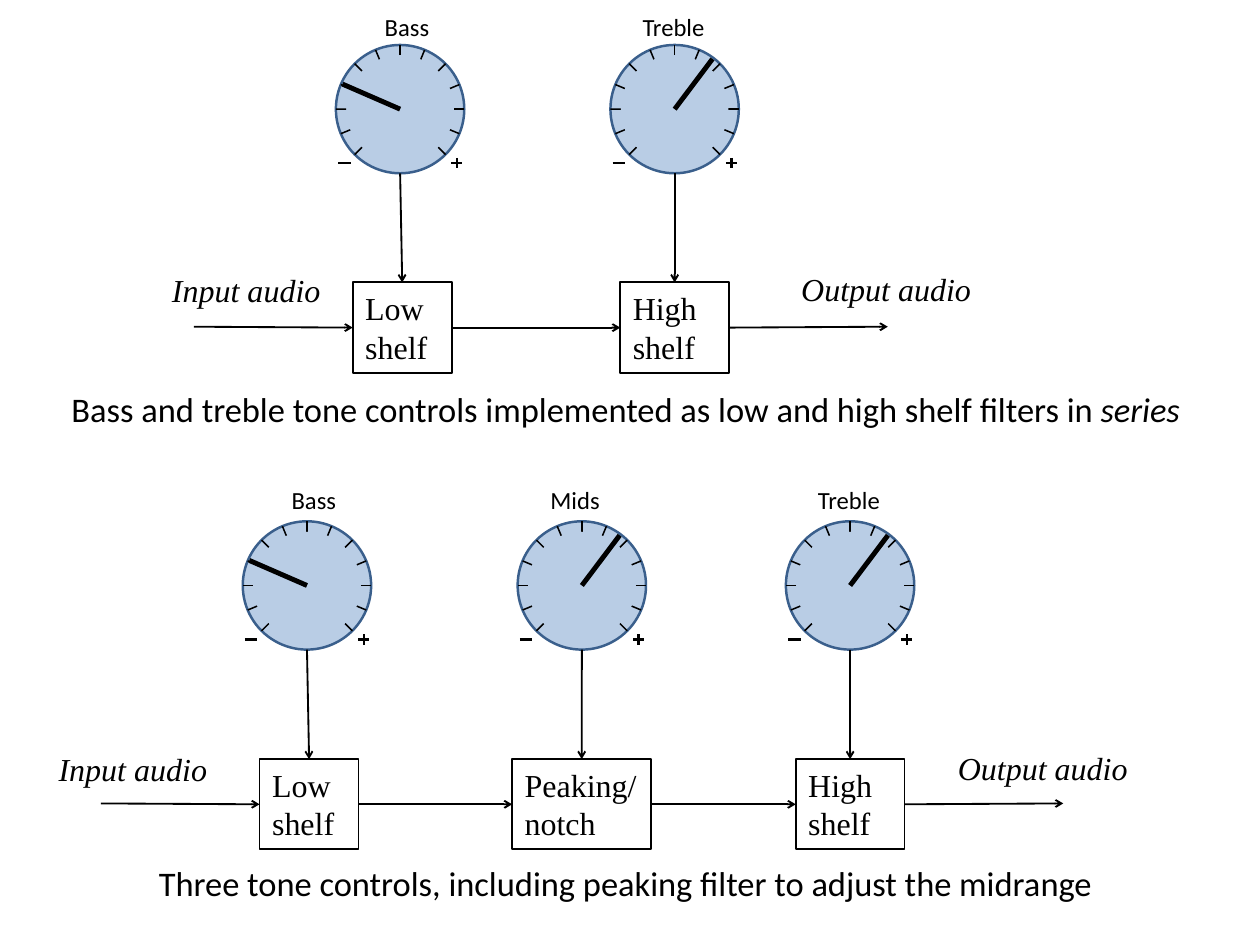
from itertools import pairwise
from math import cos, radians, sin

from lxml import etree
from pptx import Presentation
from pptx.dml.color import RGBColor
from pptx.enum.shapes import MSO_CONNECTOR, MSO_SHAPE
from pptx.enum.text import MSO_ANCHOR, MSO_AUTO_SIZE, PP_ALIGN
from pptx.oxml.ns import qn
from pptx.util import Cm, Pt

STRAIGHT = MSO_CONNECTOR.STRAIGHT
ELLIPSE, RECTANGLE = MSO_SHAPE.OVAL, MSO_SHAPE.RECTANGLE
LEFT, CENTER = PP_ALIGN.LEFT, PP_ALIGN.CENTER
TOP, MIDDLE = MSO_ANCHOR.TOP, MSO_ANCHOR.MIDDLE
GROW, FIXED = MSO_AUTO_SIZE.SHAPE_TO_FIT_TEXT, MSO_AUTO_SIZE.NONE
BLACK = RGBColor(0x00, 0x00, 0x00)
KNOB_FILL = RGBColor(0xB9, 0xCD, 0xE5)
KNOB_EDGE = RGBColor(0x3A, 0x5F, 0x8C)

LABEL_FONT = {"name": "Calibri", "size": Pt(20)}
CAPTION_FONT = {"name": "Calibri", "size": Pt(28)}
FILTER_FONT = {"name": "Times New Roman", "size": Pt(26)}
SIGNAL_FONT = {"name": "Times New Roman", "size": Pt(26), "italic": True}
FLOW_FRAME = {"word_wrap": False, "auto_size": GROW, "vertical_anchor": TOP}
FILTER_FRAME = {"word_wrap": True, "auto_size": GROW, "vertical_anchor": TOP}
CAPTION_FRAME = {"word_wrap": True, "auto_size": FIXED, "vertical_anchor": MIDDLE}
INSETS = {"margin_left": Cm(0.36), "margin_right": Cm(0.36),
          "margin_top": Cm(0.18), "margin_bottom": Cm(0.18)}

KNOB_RADIUS, FACE_RADIUS, POINTER_RADIUS = 1.84, 1.54, 1.8
FILTER_HEIGHT, SIGNAL_LENGTH = 2.59, 4.55
LOW_ANGLE, HIGH_ANGLE = 156.5, 53

CHAINS = [
    {
        "label_top": 0.15, "knob_y": 3.13, "filter_top": 8.1,
        "stages": [
            ("Bass", 10.67, 2.03, 11.47, LOW_ANGLE, "Low shelf", 10.11, 2.84),
            ("Treble", 18.06, 2.51, 19.34, HIGH_ANGLE, "High shelf", 17.78, 3.12),
        ],
        "signals": [("Input audio", 4.57, 7.57, 5.03), ("Output audio", 22.61, 7.54, 5.64)],
        "caption": (-0.1, 10.64, 36.07, 2.18),
        "wording": [
            ("Bass and treble tone controls implemented as low and high shelf filters in ", False),
            ("series", True),
        ],
    },
    {
        "label_top": 13.72, "knob_y": 16.79, "filter_top": 21.77,
        "stages": [
            ("Bass", 8, 2.03, 8.8, LOW_ANGLE, "Low shelf", 7.44, 2.84),
            ("Mids", 15.42, 2.16, 16.68, HIGH_ANGLE, "Peaking/ notch", 14.68, 3.99),
            ("Treble", 23.09, 2.51, 24.37, HIGH_ANGLE, "High shelf", 22.81, 3.12),
        ],
        "signals": [("Input audio", 1.32, 21.31, 5.03), ("Output audio", 27.1, 21.29, 5.64)],
        "caption": (3.89, 24.33, 28.07, 1.98),
        "wording": [
            ("Three tone controls, including peaking filter to adjust the midrange", False),
        ],
    },
]


def draw_line(shapes, start, end, width, arrow=False):
    line = shapes.add_connector(STRAIGHT, *[Cm(value) for value in (*start, *end)])
    line.line.color.rgb = BLACK
    line.line.width = Pt(width)
    if arrow:
        tail = etree.SubElement(line.line._get_or_add_ln(), qn("a:tailEnd"))
        tail.set("type", "arrow")
    etree.SubElement(line._element.spPr, qn("a:effectLst"))
    return line


def write_text(box, spans, font, frame_format, alignment=LEFT):
    frame = box.text_frame
    for name, value in (INSETS | frame_format).items():
        setattr(frame, name, value)
    para = frame.paragraphs[0]
    para.alignment = alignment
    for text, italic in spans:
        span = para.add_run()
        span.text = text
        for name, value in ({"italic": italic} | font).items():
            setattr(span.font, name, value)
        span.font.color.rgb = BLACK


deck = Presentation()
deck.slide_width, deck.slide_height = Cm(36.12), Cm(27.1)
page = deck.slides.add_slide(deck.slide_layouts[6])

for chain in CHAINS:
    knob_y, filter_top = chain["knob_y"], chain["filter_top"]
    signal_y = filter_top + 1.27
    filters = []
    for label, label_left, label_width, knob_x, angle, title, left, width in chain["stages"]:
        box = page.shapes.add_textbox(
            Cm(label_left), Cm(chain["label_top"]), Cm(label_width), Cm(1.22))
        write_text(box, [(label, False)], LABEL_FONT, FLOW_FRAME)

        knob = page.shapes.add_group_shape().shapes
        for radius in (KNOB_RADIUS, FACE_RADIUS):
            disc = knob.add_shape(ELLIPSE, Cm(knob_x - radius), Cm(knob_y - radius),
                                  Cm(2 * radius), Cm(2 * radius))
            disc.shadow.inherit = False
            disc.fill.solid()
            disc.fill.fore_color.rgb = KNOB_FILL
            if radius == FACE_RADIUS:
                disc.line.fill.background()
                continue
            disc.line.color.rgb = KNOB_EDGE
            disc.line.width = Pt(2)
            for step in range(13):
                turn = radians(-45 + 22.5 * step)
                inner, outer = [(knob_x + reach * cos(turn), knob_y - reach * sin(turn))
                                for reach in (FACE_RADIUS, KNOB_RADIUS)]
                draw_line(knob, inner, outer, 1.25)

        turn = radians(angle)
        tip = (knob_x + POINTER_RADIUS * cos(turn), knob_y - POINTER_RADIUS * sin(turn))
        draw_line(knob, (knob_x, knob_y), tip, 4)
        for x1, y1, x2, y2 in [(-1.78, 1.55, -1.42, 1.55),
                               (1.47, 1.55, 1.78, 1.55),
                               (1.63, 1.4, 1.63, 1.7)]:
            draw_line(knob, (knob_x + x1, knob_y + y1), (knob_x + x2, knob_y + y2), 2)

        box = page.shapes.add_shape(
            RECTANGLE, Cm(left), Cm(filter_top), Cm(width), Cm(FILTER_HEIGHT))
        box.shadow.inherit = False
        box.fill.background()
        box.line.color.rgb = BLACK
        box.line.width = Pt(1.5)
        write_text(box, [(title, False)], FILTER_FONT, FILTER_FRAME)
        filters.append(box)

        control = draw_line(page.shapes, (knob_x, knob_y + KNOB_RADIUS),
                            (left + width / 2, filter_top), 1.5, True)
        control.end_connect(box, 0)

    for source, target in pairwise(filters):
        link = draw_line(page.shapes, (0, 0), (1, 1), 1.5, True)
        link.begin_connect(source, 3)
        link.end_connect(target, 1)

    first_left = chain["stages"][0][-2]
    last_right = sum(chain["stages"][-1][-2:])
    incoming = draw_line(page.shapes, (first_left - SIGNAL_LENGTH, signal_y),
                         (first_left, signal_y), 1.5, True)
    incoming.end_connect(filters[0], 1)
    outgoing = draw_line(page.shapes, (last_right, signal_y),
                         (last_right + SIGNAL_LENGTH, signal_y), 1.5, True)
    outgoing.begin_connect(filters[-1], 3)

    for text, left, top, width in chain["signals"]:
        box = page.shapes.add_textbox(Cm(left), Cm(top), Cm(width), Cm(1.47))
        write_text(box, [(text, True)], SIGNAL_FONT, FLOW_FRAME)

    caption = page.shapes.add_textbox(*[Cm(value) for value in chain["caption"]])
    write_text(caption, chain["wording"], CAPTION_FONT, CAPTION_FRAME, CENTER)

deck.save("out.pptx")
